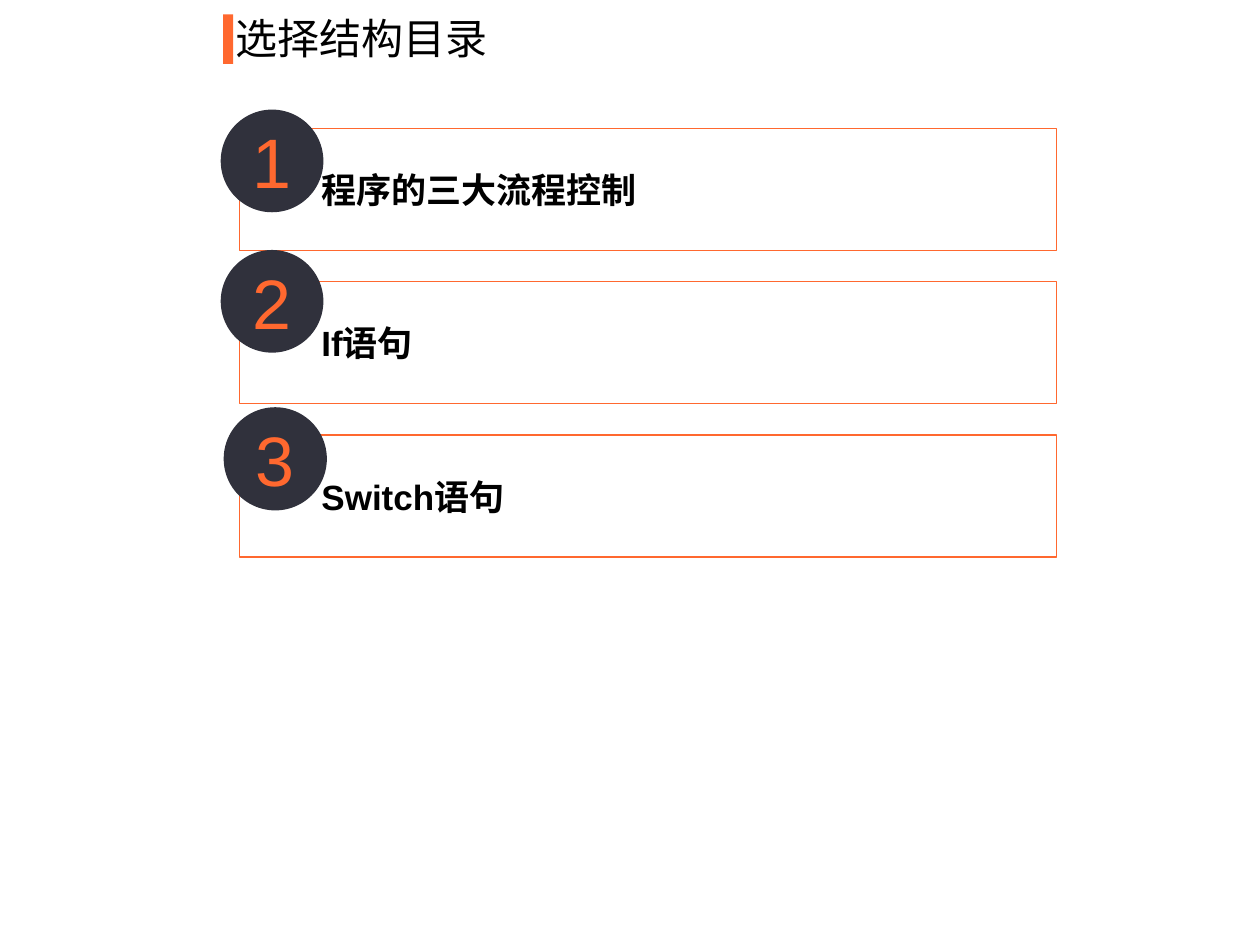
from lxml import etree
from pptx import Presentation
from pptx.dml.color import RGBColor
from pptx.enum.shapes import MSO_SHAPE as Shape
from pptx.enum.text import MSO_ANCHOR as Anchor, PP_ALIGN as Align
from pptx.oxml.ns import qn
from pptx.util import Cm, Pt

COLORS = {"accent": "FF682F", "dark": "30313C", "text": "000000", "panel": "FFFFFF"}
LATIN, CJK = "Arial", "Noto Sans CJK SC"

# Agenda entries: label, then left, top and diameter of the number badge in cm
ENTRIES = [
    ("程序的三大流程控制", 4.45, 2.21, 2.07),
    ("If语句", 4.45, 5.04, 2.07),
    ("Switch语句", 4.51, 8.21, 2.08),
]
PANEL_LEFT, PANEL_TOP, PANEL_W, PANEL_H, PANEL_PITCH = 4.83, 2.59, 16.47, 2.46, 3.09


def color(name):
    return RGBColor.from_string(COLORS[name])


def add_shape(s, kind, left, top, width, height, fill, line=None):
    sp = s.shapes.add_shape(kind, Cm(left), Cm(top), Cm(width), Cm(height))
    sp.shadow.inherit = False
    sp.fill.solid()
    sp.fill.fore_color.rgb = color(fill)
    if line:
        sp.line.color.rgb = color(line)
        sp.line.width = Pt(0.75)
    else:
        sp.line.fill.background()
    return sp


def add_text(sp, text, size, fill="text", font=LATIN, bold=False,
             align=Align.LEFT, anchor=Anchor.MIDDLE):
    tf = sp.text_frame
    tf.word_wrap = True
    tf.vertical_anchor = anchor
    p = tf.paragraphs[0]
    p.alignment = align
    r = p.add_run()
    r.text = text
    r.font.name, r.font.size, r.font.bold = font, Pt(size), bold
    r.font.color.rgb = color(fill)
    # East Asian typeface
    etree.SubElement(r.font._element, qn("a:ea")).set("typeface", CJK)


def add_title(s, text):
    add_shape(s, Shape.RECTANGLE, 4.5, 0.29, 0.2, 1, "accent")
    box = s.shapes.add_textbox(Cm(4.5), Cm(0.13), Cm(5.79), Cm(1.27))
    add_text(box, text, 24, font=CJK, anchor=Anchor.TOP)


def add_panel(s, index, label):
    sp = add_shape(s, Shape.RECTANGLE, PANEL_LEFT, PANEL_TOP + index * PANEL_PITCH,
                   PANEL_W, PANEL_H, "panel", "accent")
    # 40% opaque fill
    clr = sp.fill._xPr.find(qn("a:solidFill"))[0]
    etree.SubElement(clr, qn("a:alpha")).set("val", "40000")
    tf = sp.text_frame
    tf.margin_left = Cm(1.65)
    tf.margin_top = tf.margin_right = tf.margin_bottom = Cm(0.2)
    add_text(sp, label, 20, bold=True)


def add_badge(s, number, left, top, size):
    sp = add_shape(s, Shape.OVAL, left, top, size, size, "dark")
    add_text(sp, str(number), 40, "accent", align=Align.CENTER)


def main():
    prs = Presentation()
    prs.slide_width, prs.slide_height = Cm(25.4), Cm(19.05)
    s = prs.slides.add_slide(prs.slide_layouts[6])

    # Heading
    add_title(s, "选择结构目录")

    # Panels, with the badges on top
    for i, (label, *_) in enumerate(ENTRIES):
        add_panel(s, i, label)
    for number, (_, left, top, size) in enumerate(ENTRIES, 1):
        add_badge(s, number, left, top, size)

    prs.save("out.pptx")


if __name__ == "__main__":
    main()
